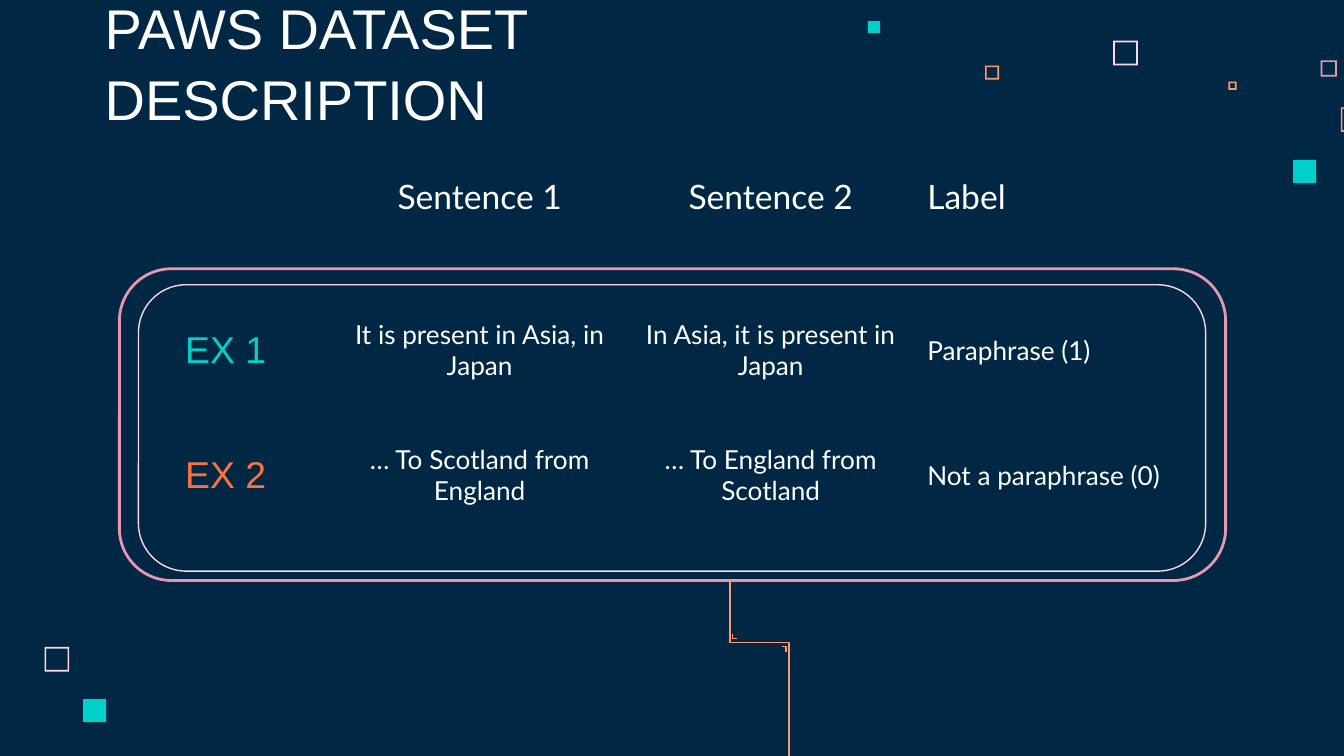
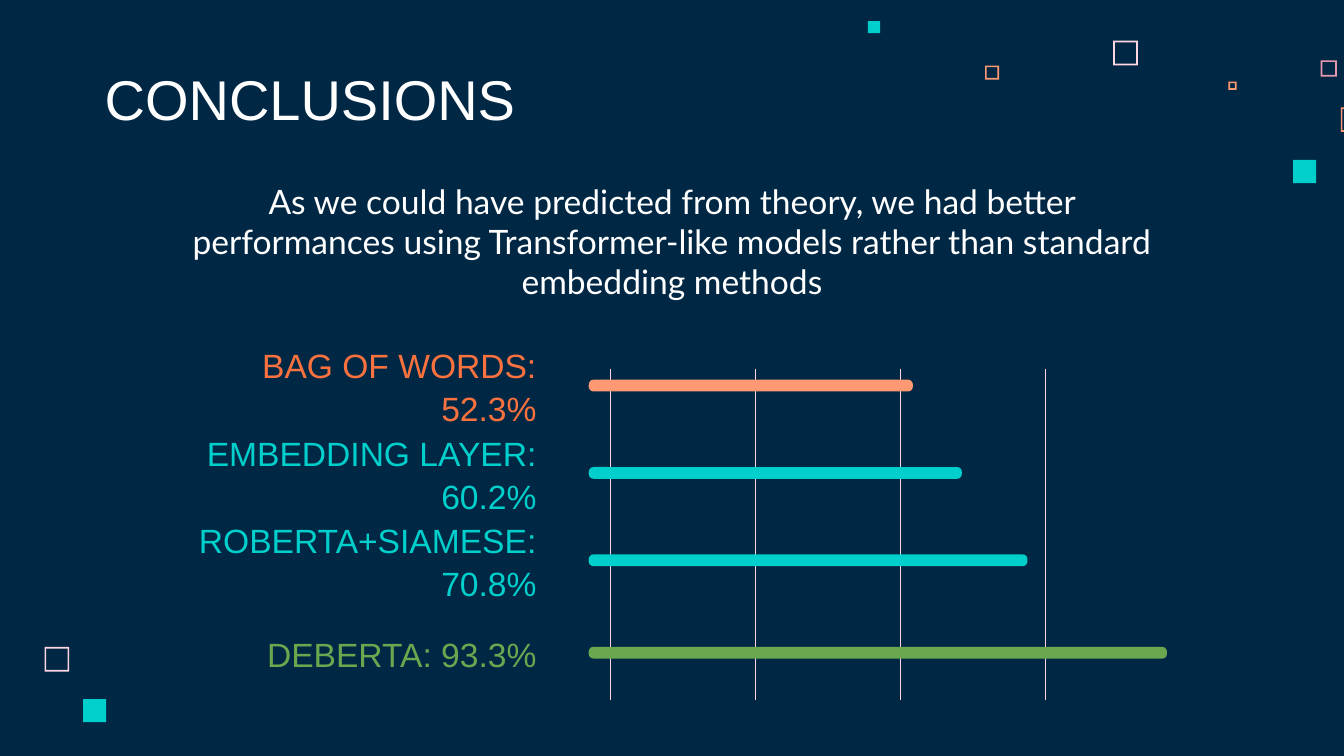
from lxml.etree import SubElement
from pptx import Presentation
from pptx.dml.color import RGBColor
from pptx.enum.shapes import MSO_CONNECTOR, MSO_SHAPE as Shape
from pptx.enum.text import MSO_ANCHOR as Anchor, PP_ALIGN as Align
from pptx.oxml.ns import qn
from pptx.util import Pt

COLORS = {
    "navy": "002845",
    "white": "FFFFFF",
    "blush": "FFD6E1",
    "rose": "E898AC",
    "peach": "FF9973",
    "orange": "FC723F",
    "teal": "00CFCC",
    "green": "6AA84F",
}
RGB = {name: RGBColor.from_string(value) for name, value in COLORS.items()}
MARGIN = Pt(7.2)
NO_GRID_STYLE = "{2D5ABB26-0587-4C30-8999-92F81FD0307C}"


def write(holder, text, size=18, font="Arial", color="white",
          align=Align.LEFT, anchor=Anchor.MIDDLE, spacing=1.0):
    """Put one formatted paragraph into a text box or a table cell."""
    holder.margin_left = holder.margin_right = MARGIN
    holder.margin_top = holder.margin_bottom = MARGIN
    holder.vertical_anchor = anchor
    frame = getattr(holder, "text_frame", holder)
    frame.word_wrap = True
    para = frame.paragraphs[0]
    para.alignment = align
    para.line_spacing = spacing
    span = para.add_run()
    span.text = text
    span.font.size = Pt(size)
    span.font.name = font
    span.font.color.rgb = RGB[color]


def draw(page, kind, left, top, width, height, fill=None, line=None,
         weight=0.75, adjust=None):
    """Add a preset shape, with a fill, an outline or both."""
    shape = page.shapes.add_shape(kind, Pt(left), Pt(top), Pt(width), Pt(height))
    shape.shadow.inherit = False
    if adjust is not None:
        shape.adjustments[0] = adjust
    if fill:
        shape.fill.solid()
        shape.fill.fore_color.rgb = RGB[fill]
    else:
        shape.fill.background()
    if line:
        shape.line.color.rgb = RGB[line]
        shape.line.width = Pt(weight)
    else:
        shape.line.fill.background()


deck = Presentation()
deck.slide_width, deck.slide_height = Pt(720), Pt(405)
backdrop = deck.slide_master.background.fill
backdrop.solid()
backdrop.fore_color.rgb = RGB["navy"]

# Shared by both slides: scattered squares and the title
squares = [  # left, top, side, color, kind
    (596.4, 21.8, 13.2, "blush", Shape.FRAME),
    (707.5, 32.3, 8.7, "rose", Shape.FRAME),
    (658.1, 43.7, 4.4, "peach", Shape.FRAME),
    (718.3, 57.5, 13.2, "peach", Shape.FRAME),
    (692.7, 85.7, 12.4, "teal", Shape.RECTANGLE),
    (527.7, 35.1, 7.5, "peach", Shape.FRAME),
    (465, 11.3, 6.5, "teal", Shape.RECTANGLE),
    (23.9, 346.6, 13.2, "blush", Shape.FRAME),
    (44.5, 374.5, 12.4, "teal", Shape.RECTANGLE),
]
pages = []
for title in ("PAWS DATASET DESCRIPTION", "CONCLUSIONS"):
    page = deck.slides.add_slide(deck.slide_layouts[6])
    for left, top, side, color, kind in squares:
        border = 0.9 / side if kind == Shape.FRAME else None
        draw(page, kind, left, top, side, side, fill=color, adjust=border)
    box = page.shapes.add_textbox(Pt(49), Pt(32.4), Pt(372.2), Pt(45.4))
    write(box.text_frame, title, size=30, anchor=Anchor.BOTTOM, spacing=1.06)
    pages.append(page)
dataset_page, conclusions_page = pages

# Slide 1: examples table in a double frame
draw(dataset_page, Shape.ROUNDED_RECTANGLE, 64, 144, 592.6, 167,
     line="rose", weight=1.5, adjust=0.167)
draw(dataset_page, Shape.ROUNDED_RECTANGLE, 74.2, 152.6, 571.7, 153.4,
     line="blush", adjust=0.167)

column_widths = [113.8, 158.4, 153.4, 30.2, 113.8]
row_height = 67
rows = [
    ("", "Sentence 1", "Sentence 2", "Label"),
    ("EX 1", "It is present in Asia, in Japan",
     "In Asia, it is present in Japan", "Paraphrase (1)"),
    ("EX 2", "… To Scotland from England",
     "… To England from Scotland", "Not a paraphrase (0)"),
]
example_colors = [None, "teal", "orange"]
table_frame = dataset_page.shapes.add_table(
    len(rows), len(column_widths), Pt(64), Pt(87.1),
    Pt(sum(column_widths)), Pt(row_height * len(rows)))
for style in table_frame.element.iter(qn("a:tableStyleId")):
    style.text = NO_GRID_STYLE
table = table_frame.table
table.first_row = table.horz_banding = False
for column, width in zip(table.columns, column_widths):
    column.width = Pt(width)
for r, texts in enumerate(rows):
    table.rows[r].height = Pt(row_height)
    table.cell(r, 3).merge(table.cell(r, 4))
    for cell in table.rows[r].cells:
        cell.fill.background()
    for c, text in enumerate(texts):
        if not text:
            continue
        align = Align.LEFT if c == 3 else Align.CENTER
        if c == 0:
            look = {"size": 20, "color": example_colors[r]}
        elif r == 0:
            look = {"font": "Lato", "anchor": Anchor.TOP}
        else:
            look = {"size": 14, "font": "Lato"}
        write(table.cell(r, c), text, align=align, **look)

circuit_paths = [
    [(391, 311), (391, 344.2), (422.6, 344.2), (422.6, 413.3)],
    [(419, 346.3), (421.2, 346.3), (421.2, 349.2)],
    [(392.4, 339.8), (392.4, 342), (394.6, 342)],
]
for start, *corners in circuit_paths:
    builder = dataset_page.shapes.build_freeform(Pt(start[0]), Pt(start[1]))
    builder.add_line_segments([(Pt(x), Pt(y)) for x, y in corners], close=False)
    circuit = builder.convert_to_shape()
    circuit.shadow.inherit = False
    circuit.fill.background()
    circuit.line.color.rgb = RGB["peach"]
    circuit.line.width = Pt(0.75)

# Slide 2: accuracy bars over four grid lines
for i in range(4):
    x = Pt(326.9 + 77.75 * i)
    grid_line = conclusions_page.shapes.add_connector(
        MSO_CONNECTOR.STRAIGHT, x, Pt(197.5), x, Pt(375.3))
    grid_line.line.color.rgb = RGB["blush"]
    grid_line.line.width = Pt(0.25)
    SubElement(grid_line.element.find(qn("p:spPr")), qn("a:effectLst"))

models = [  # name, accuracy, label top, label color, bar color
    ("BAG OF WORDS", 52.3, 195.1, "orange", "peach"),
    ("EMBEDDING LAYER", 60.2, 241.9, "teal", "teal"),
    ("ROBERTA+SIAMESE", 70.8, 288.7, "teal", "teal"),
    ("DEBERTA", 93.3, 338.2, "green", "green"),
]
label_height, bar_height, points_per_percent = 23, 6.3, 3.32
for name, accuracy, top, label_color, bar_color in models:
    box = conclusions_page.shapes.add_textbox(
        Pt(94.3), Pt(top), Pt(200.2), Pt(label_height))
    write(box.text_frame, f"{name}: {accuracy}%", color=label_color,
          align=Align.RIGHT, spacing=1.06)
    draw(conclusions_page, Shape.ROUNDED_RECTANGLE, 315.4,
         top + (label_height - bar_height) / 2, accuracy * points_per_percent,
         bar_height, fill=bar_color, adjust=0.4)

box = conclusions_page.shapes.add_textbox(Pt(94.3), Pt(98.6), Pt(531.4), Pt(61.2))
write(box.text_frame,
      "As we could have predicted from theory, we had better performances using "
      "Transformer-like models rather than standard embedding methods",
      font="Lato", align=Align.CENTER)

deck.save("out.pptx")
